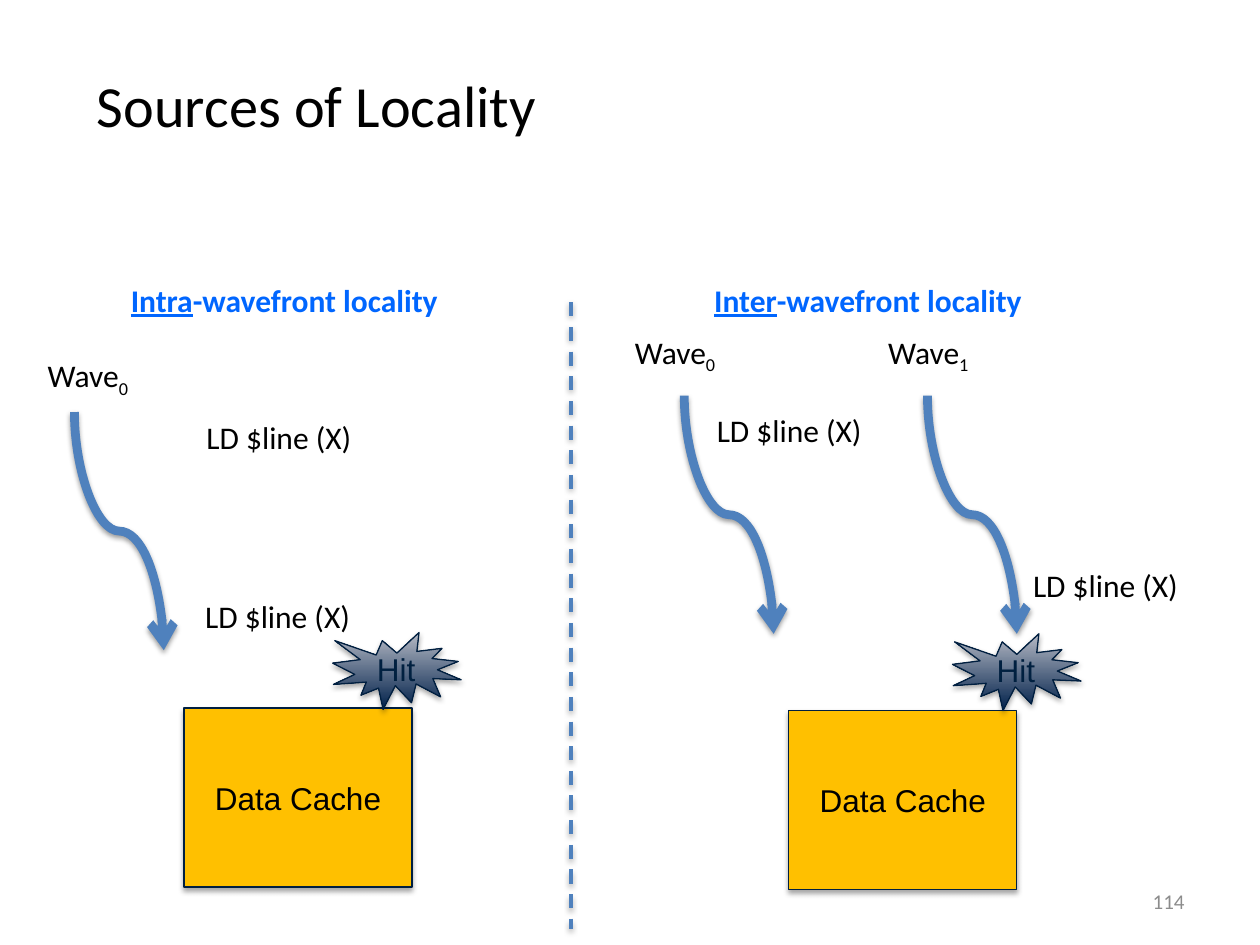
"""Build the "Sources of Locality" slide comparing intra- and inter-wavefront cache hits."""
from typing import NamedTuple

from lxml.etree import SubElement
from pptx import Presentation
from pptx.dml.color import RGBColor
from pptx.enum.dml import MSO_LINE_DASH_STYLE as Dash
from pptx.enum.shapes import MSO_CONNECTOR as Connector, MSO_SHAPE as Preset
from pptx.enum.text import MSO_ANCHOR as Anchor, PP_ALIGN as Align
from pptx.oxml.ns import qn
from pptx.util import Emu, Pt

COLORS = {
    "black": "000000", "heading": "0066FF", "number": "8C8C8C",
    "cache": "FFC000", "outline": "001F40", "hit": "002040",
    "dark": "00204A", "light": "B6BAC5", "wave": "4F81BD",
}
PX = 9144


class Span(NamedTuple):
    text: str
    underline: bool = False
    subscript: bool = False


class Label(NamedTuple):
    left: int
    top: int
    width: int
    spans: tuple[Span, ...]
    size: float = 18
    color: str = "black"
    bold: bool = False
    height: int = 40
    align: Align = Align.LEFT
    anchor: Anchor = Anchor.TOP


class Point(NamedTuple):
    x: int
    y: int


def px(length: float) -> Emu:
    """Turn px into EMU."""
    return Emu(round(length * PX))


def rgb(name: str) -> RGBColor:
    """Look up a named colour."""
    return RGBColor.from_string(COLORS[name])


def style_font(font, face: str, size: float, color: str, bold: bool = False) -> None:
    """Set face, size, colour and weight."""
    font.name, font.size, font.bold = face, Pt(size), bold
    font.color.rgb = rgb(color)


def add_shadow(item, opacity: int, distance: float) -> None:
    """Give a finished shape or connector a soft shadow straight below."""
    effects = SubElement(item._element.spPr, qn("a:effectLst"))
    shadow = SubElement(
        effects, qn("a:outerShdw"), blurRad=str(Pt(3.1)), dist=str(Pt(distance)),
        dir="5400000", rotWithShape="0")
    color = SubElement(shadow, qn("a:srgbClr"), val=COLORS["black"])
    SubElement(color, qn("a:alpha"), val=str(opacity * 1000))


def add_label(page, label: Label) -> None:
    """Draw one text box."""
    box = page.shapes.add_textbox(
        px(label.left), px(label.top), px(label.width), px(label.height))
    frame = box.text_frame
    frame.word_wrap = True
    frame.vertical_anchor = label.anchor
    para = frame.paragraphs[0]
    para.alignment = label.align
    style_font(para.font, "Calibri", label.size, label.color, label.bold)
    for part in label.spans:
        span = para.add_run()
        span.text = part.text
        if part.underline:
            span.font.underline = True
        if part.subscript:
            span._r.get_or_add_rPr().set("baseline", "-25000")


def add_block(page, preset: Preset, corner: Point, size: Point, text: str, color: str):
    """Draw an outlined shape with centred text and return it."""
    shape = page.shapes.add_shape(preset, px(corner.x), px(corner.y), px(size.x), px(size.y))
    shape.line.color.rgb = rgb("outline")
    shape.line.width = Pt(0.75)
    shape.text_frame.vertical_anchor = Anchor.MIDDLE
    para = shape.text_frame.paragraphs[0]
    para.text = text
    para.alignment = Align.CENTER
    style_font(para.font, "Arial", 18, color)
    return shape


def add_cache(page, corner: Point) -> None:
    """Draw a data cache."""
    cache = add_block(page, Preset.RECTANGLE, corner, Point(181, 142), "Data Cache", "black")
    cache.fill.solid()
    cache.fill.fore_color.rgb = rgb("cache")
    add_shadow(cache, 35, 1.8)


def add_hit(page, corner: Point) -> None:
    """Draw a burst that marks a cache hit."""
    burst = add_block(page, Preset.EXPLOSION1, corner, Point(102, 61), "Hit", "hit")
    burst.text_frame.word_wrap = False
    burst.fill.gradient()
    burst.fill.gradient_angle = 90
    for stop, name in zip(burst.fill.gradient_stops, ("dark", "light")):
        stop.color.rgb = rgb(name)
    add_shadow(burst, 35, 1.8)


def add_line(page, kind: Connector, start: Point, end: Point, width: float):
    """Draw a connector in the wave colour and return it."""
    line = page.shapes.add_connector(kind, px(start.x), px(start.y), px(end.x), px(end.y))
    line.line.color.rgb = rgb("wave")
    line.line.width = Pt(width)
    return line


def add_wave(page, start: Point) -> None:
    """Draw a curved arrow that runs down and right, as a quarter-turned connector."""
    across, down = 71, 189
    middle_x, middle_y = start.x + across / 2, start.y + down / 2
    wave = add_line(
        page, Connector.CURVE,
        Point(middle_x + down / 2, middle_y - across / 2),
        Point(middle_x - down / 2, middle_y + across / 2), 5)
    wave._element.spPr.find(qn("a:xfrm")).set("rot", str(270 * 60000))
    SubElement(wave.line._get_or_add_ln(), qn("a:tailEnd"), type="arrow")
    add_shadow(wave, 38, 1.6)


def add_divider(page) -> None:
    """Draw the dashed line between the two halves."""
    divider = add_line(page, Connector.STRAIGHT, Point(453, 240), Point(453, 737), 2)
    divider.line.dash_style = Dash.DASH
    add_shadow(divider, 38, 1.6)


def heading(left: int, width: int, prefix: str) -> Label:
    """Describe the heading of one half."""
    spans = (Span(prefix, underline=True), Span("-wavefront locality"))
    return Label(left, 218, width, spans, color="heading", bold=True)


def wave_name(left: int, top: int, index: str) -> Label:
    """Describe a wave name with its index."""
    return Label(left, top, 98, (Span("Wave"), Span(index, subscript=True)))


def load(left: int, top: int) -> Label:
    """Describe a load instruction."""
    return Label(left, top, 165, (Span("LD $line (X)"),))


LABELS = (
    Label(67, 50, 908, (Span("Sources of Locality"),), size=33.3, height=59),
    heading(94, 314, "Intra"), heading(557, 309, "Inter"),
    wave_name(28, 278, "0"), wave_name(494, 259, "0"), wave_name(695, 259, "1"),
    load(154, 327), load(153, 469), load(559, 321), load(810, 444),
    Label(717, 695, 233, (Span("114"),), size=12, color="number",
          align=Align.RIGHT, anchor=Anchor.MIDDLE),
)
CACHES = (Point(146, 562), Point(626, 564))
WAVES = (Point(59, 327), Point(543, 314), Point(736, 314))
HITS = (Point(264, 502), Point(756, 503))


def main() -> None:
    """Build and save the deck."""
    deck = Presentation()
    deck.slide_width, deck.slide_height = px(1000), px(750)
    page = deck.slides.add_slide(deck.slide_layouts[6])
    for corner in CACHES:
        add_cache(page, corner)
    for start in WAVES:
        add_wave(page, start)
    add_divider(page)
    for label in LABELS:
        add_label(page, label)
    for corner in HITS:
        add_hit(page, corner)
    deck.save("out.pptx")


if __name__ == "__main__":
    main()
